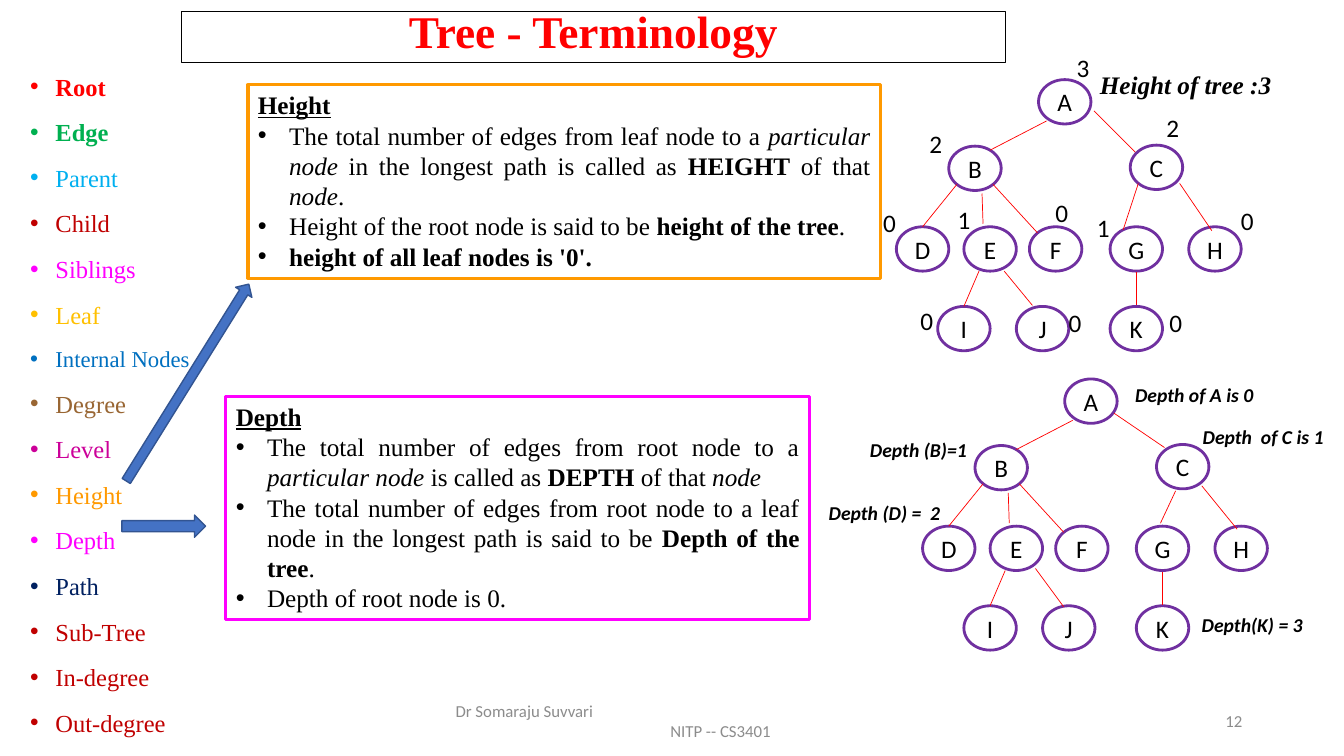
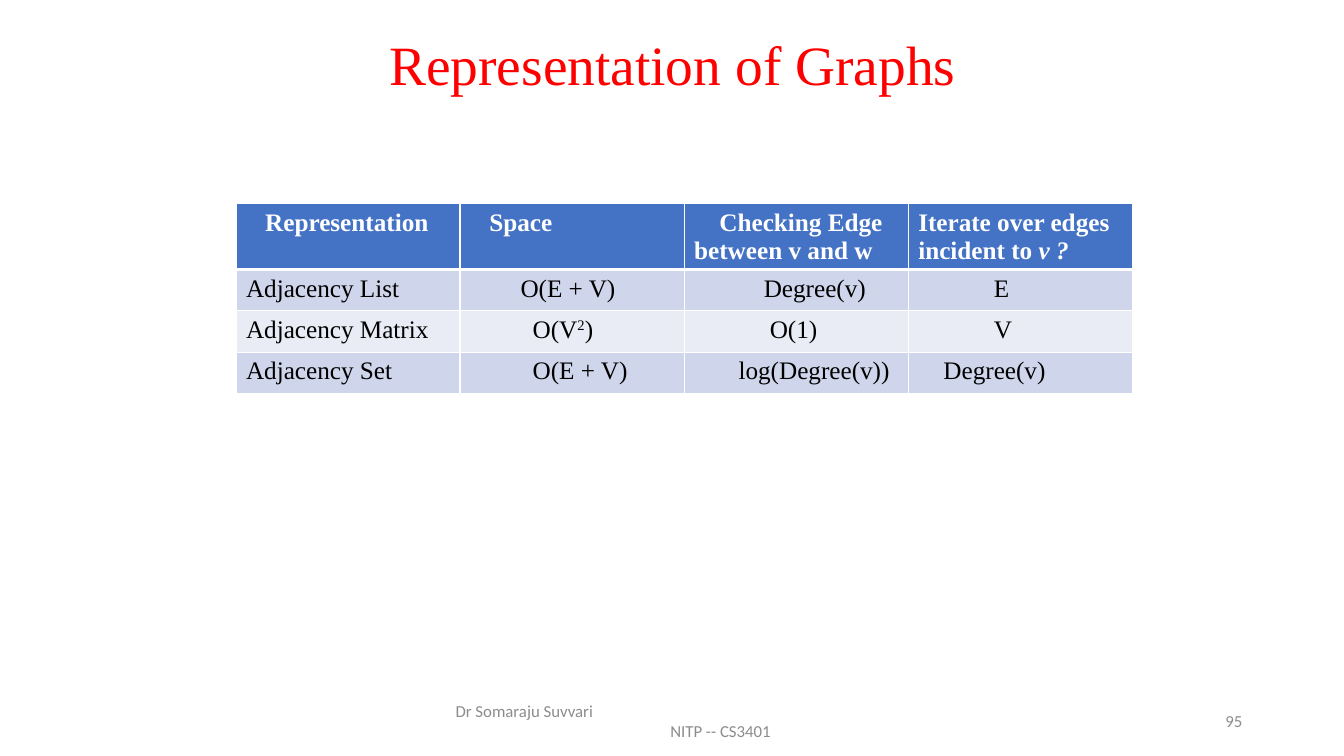
from dataclasses import dataclass

from lxml import etree
from pptx import Presentation
from pptx import util as u
from pptx.dml.color import RGBColor
from pptx.enum import shapes, text
from pptx.oxml import ns


@dataclass(frozen=True)
class Theme:
    serif: str = "Times New Roman"
    sans: str = "Calibri"
    black: str = "000000"
    white: str = "FFFFFF"
    red: str = "FF0000"
    orange: str = "FF9900"
    magenta: str = "FF00FF"
    purple: str = "7030A0"
    blue: str = "4472C4"
    dark_blue: str = "325491"
    grey: str = "8C8C8C"
    bands: tuple = ("CFD5EA", "E9EBF5")
    box_title: float = 32.4
    slide_title: float = 39.6
    term: float = 17.5
    small_term: float = 16.2
    body: float = 18
    note: float = 14
    footer: float = 12


theme = Theme()


def add_run(paragraph, words, size, color=theme.black, font=theme.serif, style=""):
    """Add one run; style holds any of b (bold), i (italic), u (underline), ^ (superscript)."""
    run = paragraph.add_run()
    run.text = words
    run.font.size = u.Pt(size)
    run.font.name = font
    run.font.color.rgb = RGBColor.from_string(color)
    run.font.bold = "b" in style
    run.font.italic = "i" in style
    run.font.underline = "u" in style
    if "^" in style:
        run.font._element.set("baseline", "30000")


def set_indent(paragraph, left, first, bullet=False):
    """Set the left and first-line indents, with a bullet if asked."""
    properties = paragraph._p.get_or_add_pPr()
    properties.set("marL", str(u.Inches(left)))
    properties.set("indent", str(u.Inches(first)))
    if bullet:
        etree.SubElement(properties, ns.qn("a:buFont")).set("typeface", "Arial")
        etree.SubElement(properties, ns.qn("a:buChar")).set("char", "•")


presentation = Presentation()
presentation.slide_width = u.Inches(13.33)
presentation.slide_height = u.Inches(7.5)
tree_slide = presentation.slides.add_slide(presentation.slide_layouts[1])
graph_slide = presentation.slides.add_slide(presentation.slide_layouts[5])

# Titles
titles = [
    (tree_slide, "Tree - Terminology", (1.8, 0.11, 8.17, 0.51), theme.box_title, "b", 0.7),
    (graph_slide, "Representation of Graphs", (0.92, 0.4, 11.5, 0.54), theme.slide_title, "", 0.9),
]
for slide, words, place, size, style, spacing in titles:
    title = slide.shapes.title
    title.left, title.top, title.width, title.height = map(u.Inches, place)
    title.text_frame.auto_size = text.MSO_AUTO_SIZE.NONE
    title.text_frame.vertical_anchor = text.MSO_ANCHOR.MIDDLE
    paragraph = title.text_frame.paragraphs[0]
    paragraph.alignment = text.PP_ALIGN.CENTER
    paragraph.line_spacing = spacing
    add_run(paragraph, words, size, theme.red, style=style)
tree_slide.shapes.title.line.color.rgb = RGBColor.from_string(theme.black)
tree_slide.shapes.title.line.width = u.Pt(0.75)

# List of terms
terms = [
    ("Root", theme.red), ("Edge", "00B050"), ("Parent", "00B0F0"), ("Child", "C00000"),
    ("Siblings", theme.magenta), ("Leaf", "FFC000"), ("Internal Nodes", "0070C0"),
    ("Degree", "996633"), ("Level", "CC0099"), ("Height", theme.orange),
    ("Depth", theme.magenta), ("Path", "002060"), ("Sub-Tree", "C00000"),
    ("In-degree", "C00000"), ("Out-degree", "C00000"),
]
term_list = tree_slide.placeholders[1]
term_list.left, term_list.top, term_list.width, term_list.height = map(u.Inches, (0.2, 0.66, 2.01, 6.72))
frame = term_list.text_frame
frame.auto_size = text.MSO_AUTO_SIZE.NONE
frame.vertical_anchor = text.MSO_ANCHOR.TOP
for index, (term, color) in enumerate(terms):
    paragraph = frame.add_paragraph() if index else frame.paragraphs[0]
    paragraph.space_before = u.Pt(0)
    paragraph.space_after = u.Pt(11.6)
    set_indent(paragraph, 0.25, -0.25, bullet=True)
    size = theme.small_term if term == "Internal Nodes" else theme.term
    add_run(paragraph, term, size, color, style="b" if term in ("Root", "Edge") else "")

# Definition boxes: each paragraph is a list of (words, style)
definitions = [
    ((2.46, 0.84, 6.27, 1.92), theme.orange, [
        [("Height", "bu")],
        [("The total number of edges from leaf node to a ", ""), ("particular node", "i"),
         (" in the longest path is called as ", ""), ("HEIGHT", "b"), (" of that ", ""),
         ("node", "i"), (".", "")],
        [("Height of the root node is said to be ", ""), ("height of the tree", "b"), (". ", "")],
        [("height of all leaf nodes is '0'.", "b")],
    ]),
    ((2.24, 3.93, 5.79, 2.22), theme.magenta, [
        [("Depth", "bu")],
        [("The total number of edges from root node to a ", ""), ("particular node", "i"),
         (" is called as ", ""), ("DEPTH", "b"), (" of that ", ""), ("node", "i")],
        [("The total number of edges from root node to a leaf node in the longest path is said to be ", ""),
         ("Depth of the tree", "b"), (".", "")],
        [("Depth of root node is 0.", "")],
    ]),
]
for place, color, paragraphs in definitions:
    box = tree_slide.shapes.add_shape(shapes.MSO_SHAPE.RECTANGLE, *map(u.Inches, place))
    box.shadow.inherit = False
    box.fill.background()
    box.line.color.rgb = RGBColor.from_string(color)
    box.line.width = u.Pt(2.25)
    frame = box.text_frame
    frame.word_wrap = True
    frame.vertical_anchor = text.MSO_ANCHOR.TOP
    for index, runs in enumerate(paragraphs):
        paragraph = frame.add_paragraph() if index else frame.paragraphs[0]
        paragraph.alignment = text.PP_ALIGN.JUSTIFY
        paragraph.line_spacing = u.Pt(21.6)
        if index:
            set_indent(paragraph, 0.31, -0.31, bullet=True)
        for words, style in runs:
            add_run(paragraph, words, theme.body, style=style)

# Block arrows from the terms to their definitions
for place, angle in [((0.71, 3.7, 2.3, 0.19), 301.9), ((1.21, 5.11, 0.83, 0.22), 0)]:
    arrow = tree_slide.shapes.add_shape(shapes.MSO_SHAPE.RIGHT_ARROW, *map(u.Inches, place))
    arrow.shadow.inherit = False
    arrow.rotation = angle
    arrow.fill.solid()
    arrow.fill.fore_color.rgb = RGBColor.from_string(theme.blue)
    arrow.line.color.rgb = RGBColor.from_string(theme.dark_blue)
    arrow.line.width = u.Pt(1)

# Trees: the lower one is the upper one shifted, with a few edges adjusted
nodes = {
    "A": (10.3, 0.79), "B": (9.41, 1.45), "C": (11.21, 1.44),
    "D": (8.89, 2.25), "E": (9.56, 2.25), "F": (10.21, 2.25), "G": (11.01, 2.25), "H": (11.79, 2.25),
    "I": (9.3, 3.04), "J": (10.08, 3.04), "K": (11.01, 3.04),
}
edges = {
    "AB": (10.38, 1.2, 9.82, 1.49), "AC": (10.85, 1.1, 11.26, 1.51),
    "BD": (9.49, 1.83, 9.15, 2.25), "BE": (9.74, 1.92, 9.75, 2.22), "BF": (9.85, 1.83, 10.29, 2.31),
    "CG": (11.29, 1.82, 11.14, 2.28), "CH": (11.7, 1.82, 12.02, 2.29),
    "EI": (9.71, 2.69, 9.56, 3.04), "EJ": (9.96, 2.69, 10.24, 3.03), "GK": (11.27, 2.7, 11.27, 3.03),
}
lower_edges = {
    "AC": (10.79, 1.13, 11.29, 1.47), "CG": (11.4, 1.9, 11.25, 2.22),
    "CH": (11.66, 1.85, 12.01, 2.28), "EJ": (10.01, 2.67, 10.29, 3.05),
}
for shift_x, shift_y, tree_edges in [(0, 0, edges), (0.26, 2.97, {**edges, **lower_edges})]:
    for name, (left, top) in nodes.items():
        node = tree_slide.shapes.add_shape(
            shapes.MSO_SHAPE.OVAL, u.Inches(left + shift_x), u.Inches(top + shift_y),
            u.Inches(0.52), u.Inches(0.44))
        node.shadow.inherit = False
        if name in "ABCEG":
            node.fill.background()
        else:
            node.fill.solid()
            node.fill.fore_color.rgb = RGBColor.from_string(theme.white)
        node.line.color.rgb = RGBColor.from_string(theme.purple)
        node.line.width = u.Pt(2)
        node.text_frame.vertical_anchor = text.MSO_ANCHOR.MIDDLE
        paragraph = node.text_frame.paragraphs[0]
        paragraph.alignment = text.PP_ALIGN.CENTER
        add_run(paragraph, name, theme.body, font=theme.sans)
    for x1, y1, x2, y2 in tree_edges.values():
        edge = tree_slide.shapes.add_connector(
            shapes.MSO_CONNECTOR.STRAIGHT, u.Inches(x1 + shift_x), u.Inches(y1 + shift_y),
            u.Inches(x2 + shift_x), u.Inches(y2 + shift_y))
        edge.line.color.rgb = RGBColor.from_string(theme.red)
        edge.line.width = u.Pt(0.5)
        etree.SubElement(edge._element.spPr, ns.qn("a:effectLst"))

# Labels beside the nodes
heights = [
    ("3", 10.58, 0.47), ("2", 9.12, 1.22), ("2", 11.47, 1.07),
    ("0", 8.66, 2.01), ("1", 9.4, 1.98), ("0", 10.37, 1.91), ("1", 10.78, 2.06), ("0", 12.21, 1.99),
    ("0", 9.03, 2.98), ("0", 10.5, 3), ("0", 11.5, 3),
]
depths = [
    ("Depth of A is 0", 11.16, 3.75, 2.15), ("Depth (B)=1", 8.53, 4.3, 1.53),
    ("Depth  of C is 1", 11.83, 4.17, 1.53), ("Depth (D) =  2", 8.12, 4.92, 1.32),
    ("Depth(K) = 3", 11.82, 6.03, 1.53),
]
labels = [(words, (left, top, 0.37, 0.4), theme.body, theme.sans, "") for words, left, top in heights]
labels += [(words, (left, top, width, 0.34), theme.note, theme.sans, "bi")
           for words, left, top, width in depths]
labels.append(("Height of tree :3", (10.81, 0.64, 2.32, 0.4), theme.body, theme.serif, "bi"))
for words, place, size, font, style in labels:
    label = tree_slide.shapes.add_textbox(*map(u.Inches, place))
    label.text_frame.word_wrap = True
    add_run(label.text_frame.paragraphs[0], words, size, font=font, style=style)

# Table: each cell is (first-line indent, runs)
rows = [
    [(0.19, [("Representation", "b")]), (0.19, [("Space", "b")]),
     (0.25, [("Checking Edge between v and w", "b")]),
     (0, [("Iterate over edges incident to ", "b"), ("v ?", "bi")])],
    [(0, [("Adjacency List", "")]), (0.5, [("O(E + V)", "")]),
     (0.69, [("Degree(v)", "")]), (0.75, [("E", "")])],
    [(0, [("Adjacency Matrix", "")]), (0.62, [("O(V", ""), ("2", "^"), (")", "")]),
     (0.75, [("O(1)", "")]), (0.75, [("V", "")])],
    [(0, [("Adjacency Set", "")]), (0.62, [("O(E + V)", "")]),
     (0.44, [("log(Degree(v))", "")]), (0.25, [("Degree(v)", "")])],
]
table = graph_slide.shapes.add_table(
    4, 4, u.Inches(2.34), u.Inches(2.02), u.Inches(8.89), u.Inches(1.88)).table
for row_index, cells in enumerate(rows):
    header = row_index == 0
    table.rows[row_index].height = u.Inches(0.65 if header else 0.41)
    for column_index, (first, runs) in enumerate(cells):
        cell = table.cell(row_index, column_index)
        properties = cell._tc.get_or_add_tcPr()
        for side in "LRTB":
            thick = (header and side == "B") or (row_index == 1 and side == "T")
            border = etree.SubElement(properties, ns.qn("a:ln" + side), w=str(u.Pt(3 if thick else 1)))
            fill = etree.SubElement(border, ns.qn("a:solidFill"))
            etree.SubElement(fill, ns.qn("a:srgbClr"), val=theme.white)
        cell.fill.solid()
        cell.fill.fore_color.rgb = RGBColor.from_string(
            theme.blue if header else theme.bands[(row_index - 1) % 2])
        paragraph = cell.text_frame.paragraphs[0]
        set_indent(paragraph, 0, first)
        for words, style in runs:
            add_run(paragraph, words, theme.body, theme.white if header else theme.black, style=style)

# Footers and slide numbers
for slide, number in [(tree_slide, "12"), (graph_slide, "95")]:
    footer = slide.shapes.add_textbox(*map(u.Inches, (4.42, 6.95, 4.5, 0.4)))
    page = slide.shapes.add_textbox(*map(u.Inches, (9.42, 6.95, 3, 0.4)))
    for box in (footer, page):
        box.text_frame.word_wrap = True
        box.text_frame.vertical_anchor = text.MSO_ANCHOR.MIDDLE
    author = footer.text_frame.paragraphs[0]
    course = footer.text_frame.add_paragraph()
    set_indent(course, 2.13, 0)
    page_number = page.text_frame.paragraphs[0]
    page_number.alignment = text.PP_ALIGN.RIGHT
    for paragraph, words in [(author, "Dr Somaraju Suvvari"), (course, "NITP -- CS3401"), (page_number, number)]:
        add_run(paragraph, words, theme.footer, theme.grey, theme.sans)

presentation.save("out.pptx")
